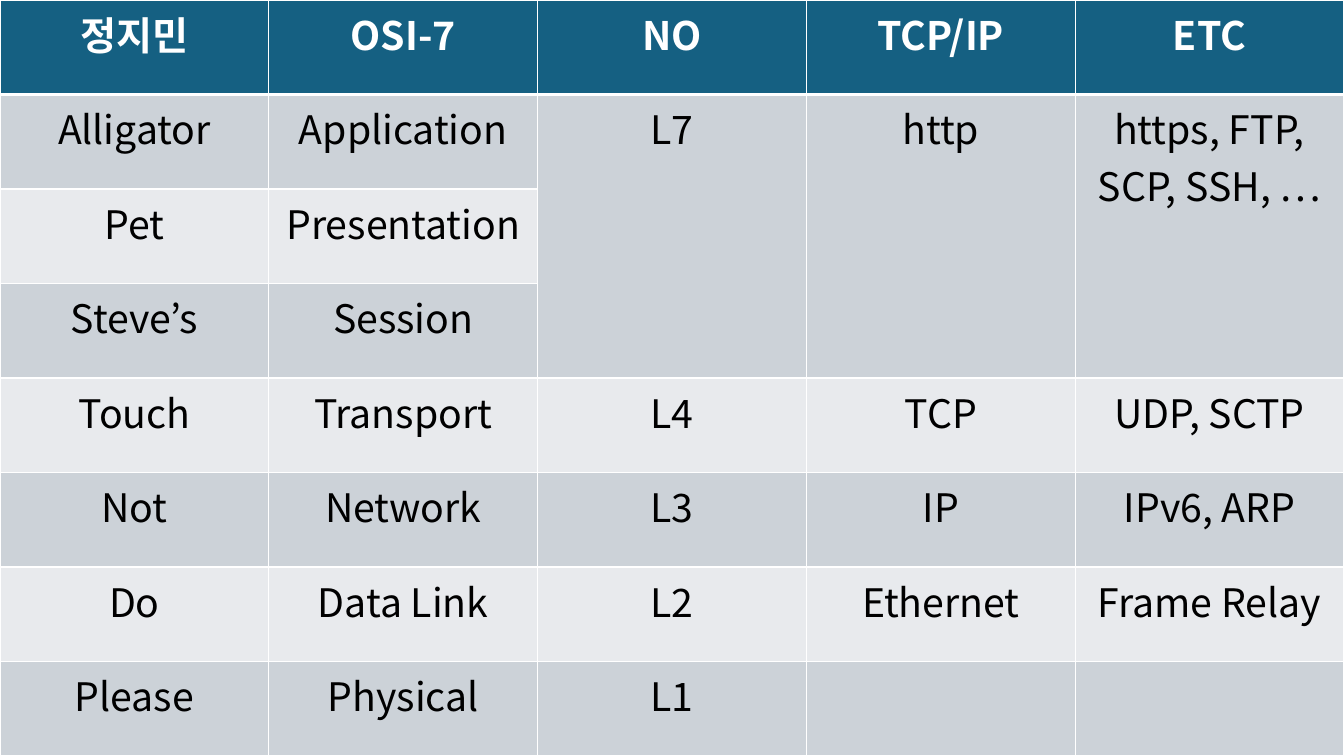
from lxml import etree
from pptx import Presentation
from pptx.dml.color import RGBColor
from pptx.enum.text import PP_ALIGN
from pptx.oxml.ns import qn
from pptx.util import Inches, Pt

CENTER = PP_ALIGN.CENTER
FONT = "Noto Sans CJK KR"
WHITE, BLACK, HEADER_BLUE = "FFFFFF", "000000", "156082"
BANDS = ("CCD2D8", "E8EAED")
APPLICATION_ROW, SESSION_ROW = 1, 3
SHARED_COLUMNS = (2, 3, 4)

LAYERS = [
    ("정지민", "OSI-7", "NO", "TCP/IP", "ETC"),
    ("Alligator", "Application", "L7", "http", "https, FTP, SCP, SSH, …"),
    ("Pet", "Presentation", "", "", ""),
    ("Steve’s", "Session", "", "", ""),
    ("Touch", "Transport", "L4", "TCP", "UDP, SCTP"),
    ("Not", "Network", "L3", "IP", "IPv6, ARP"),
    ("Do", "Data Link", "L2", "Ethernet", "Frame Relay"),
    ("Please", "Physical", "L1", "", ""),
]


def color(hex_value):
    return RGBColor.from_string(hex_value)


def add_borders(cell, top, bottom):
    properties = cell._tc.get_or_add_tcPr()
    for side, width in (("L", 1), ("R", 1), ("T", top), ("B", bottom)):
        border = etree.SubElement(properties, qn(f"a:ln{side}"), w=str(Pt(width)))
        fill = etree.SubElement(border, qn("a:solidFill"))
        etree.SubElement(fill, qn("a:srgbClr"), val=WHITE)


def write_label(cell, label, is_header):
    cell.text_frame.text = label
    paragraph = cell.text_frame.paragraphs[0]
    paragraph.alignment = CENTER
    paragraph.font.size = Pt(28)
    for run in paragraph.runs:
        run.font.size = Pt(28)
        run.font.bold = is_header
        run.font.color.rgb = color(WHITE if is_header else BLACK)
        run.font.name = FONT
        etree.SubElement(run.font._element, qn("a:ea"), typeface=FONT)


def format_cell(cell, label, row):
    is_header = row == 0
    add_borders(cell, 3 if row == 1 else 1, 3 if is_header else 1)
    cell.fill.solid()
    cell.fill.fore_color.rgb = color(HEADER_BLUE if is_header else BANDS[(row - 1) % 2])
    write_label(cell, label, is_header)


def add_layer_table(slide, width, height):
    row_count, column_count = len(LAYERS), len(LAYERS[0])
    table = slide.shapes.add_table(row_count, column_count, 0, 0, width, height).table
    for column in table.columns:
        column.width = width // column_count
    for row in table.rows:
        row.height = height // row_count
    for row, labels in enumerate(LAYERS):
        for column, label in enumerate(labels):
            format_cell(table.cell(row, column), label, row)
    for column in SHARED_COLUMNS:
        table.cell(APPLICATION_ROW, column).merge(table.cell(SESSION_ROW, column))


def main():
    deck = Presentation()
    deck.slide_width, deck.slide_height = Inches(13.33), Inches(7.5)
    slide = deck.slides.add_slide(deck.slide_layouts[6])
    add_layer_table(slide, deck.slide_width, deck.slide_height)
    deck.save("out.pptx")


if __name__ == "__main__":
    main()
